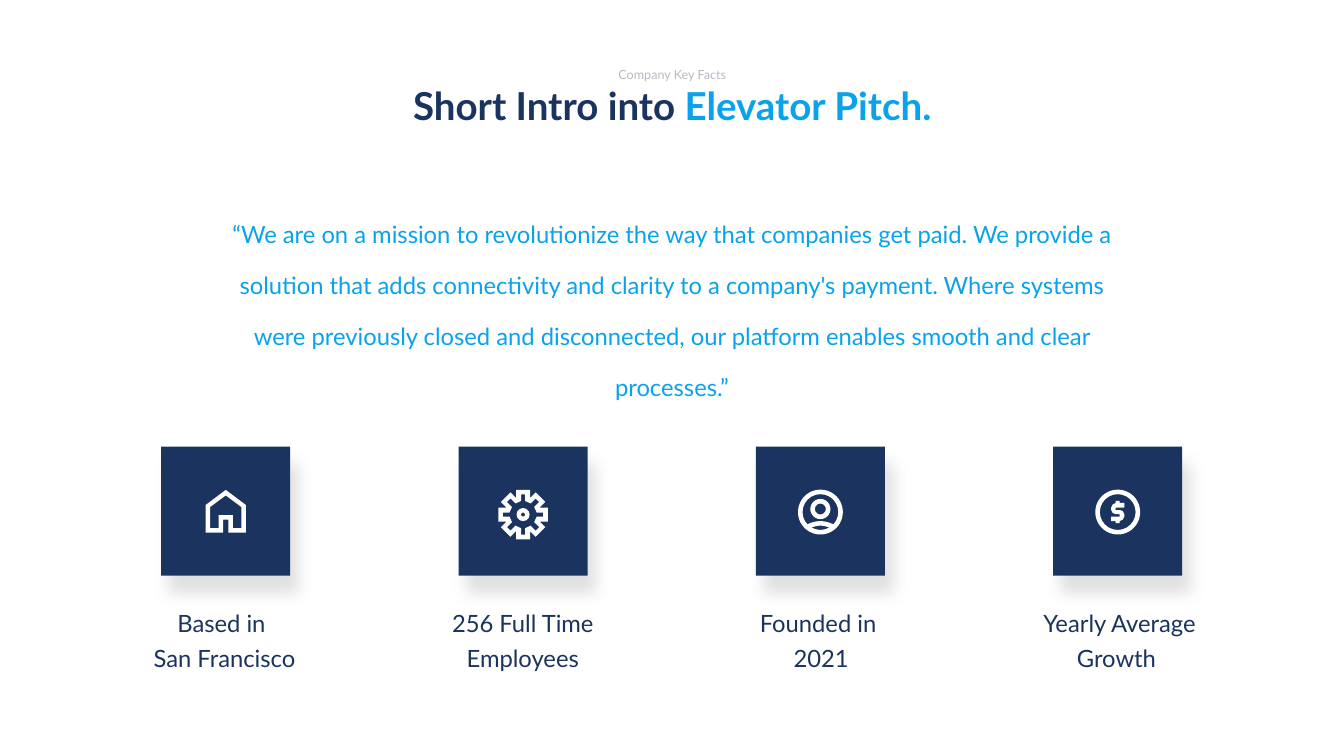
from dataclasses import dataclass

from lxml import etree
from pptx import Presentation
from pptx.dml.color import RGBColor
from pptx.enum import shapes, text
from pptx.oxml import ns
from pptx.util import Inches, Pt


@dataclass(frozen=True)
class Theme:
    navy: RGBColor = RGBColor(0x1B, 0x33, 0x5F)
    blue: RGBColor = RGBColor(0x0A, 0xA3, 0xEB)
    gray: RGBColor = RGBColor(0xB9, 0xB9, 0xC2)
    white: RGBColor = RGBColor(0xFF, 0xFF, 0xFF)
    shadow: str = "5E5E5E"
    font: str = "Lato"
    eyebrow: int = 18
    title: int = 55
    body: int = 34


THEME = Theme()
TILE = 2.56
STROKE = 0.09


def fill_plain(shape, color):
    shape.shadow.inherit = False
    shape.fill.solid()
    shape.fill.fore_color.rgb = color
    shape.line.fill.background()


def add_soft_shadow(shape):
    effects = shape._element.spPr.find(ns.qn("a:effectLst"))
    shadow = etree.SubElement(
        effects, ns.qn("a:outerShdw"), blurRad=str(Pt(22)), dist=str(Pt(27.8)),
        dir=str(66 * 60000), algn="ctr", rotWithShape="0")
    color = etree.SubElement(shadow, ns.qn("a:srgbClr"), val=THEME.shadow)
    etree.SubElement(color, ns.qn("a:alpha"), val="18000")


def add_text_box(slide, left, top, width, height):
    box = slide.shapes.add_textbox(
        Inches(left), Inches(top), Inches(width), Inches(height))
    frame = box.text_frame
    frame.margin_left = frame.margin_right = 0
    frame.margin_top = frame.margin_bottom = 0
    frame.word_wrap = True
    frame.auto_size = text.MSO_AUTO_SIZE.SHAPE_TO_FIT_TEXT
    return frame


def style_paragraph(paragraph, size, colors, spacing=None, bold=False):
    """Centre a paragraph and style its runs; one colour serves all runs."""
    paragraph.alignment = text.PP_ALIGN.CENTER
    if spacing:
        paragraph.line_spacing = spacing
    for index, run in enumerate(paragraph.runs):
        run.font.name = THEME.font
        run.font.size = Pt(size)
        run.font.bold = bold
        run.font.color.rgb = colors[min(index, len(colors) - 1)]


def add_outline(slide, center_x, center_y, contours):
    """Draw a white figure from contours around a centre; inner ones cut holes."""
    builder = None
    for contour in contours:
        points = [(Inches(center_x + x), Inches(center_y + y)) for x, y in contour]
        if builder is None:
            builder = slide.shapes.build_freeform(*points[0])
        else:
            builder.move_to(*points[0])
        builder.add_line_segments(points[1:], close=True)
    fill_plain(builder.convert_to_shape(), THEME.white)


def add_ring(slide, center_x, center_y, size):
    ring = slide.shapes.add_shape(
        shapes.MSO_SHAPE.DONUT, Inches(center_x - size / 2),
        Inches(center_y - size / 2), Inches(size), Inches(size))
    ring.adjustments[0] = STROKE / size
    fill_plain(ring, THEME.white)


def mirrored(points):
    return points + [(-x, y) for x, y in reversed(points)]


def four_turns(quadrant):
    contour = []
    for _ in range(4):
        contour += quadrant
        quadrant = [(-y, x) for x, y in quadrant]
    return contour


def arch(half_width, ends, peak, steps=12):
    """Points of a parabola from left to right."""
    positions = [2 * step / steps - 1 for step in range(steps + 1)]
    return [(half_width * t, peak + (ends - peak) * t * t) for t in positions]


def add_house(slide, x, y):
    outer = mirrored([(0, -0.43), (0.4, -0.13), (0.4, 0.42), (0.05, 0.42), (0.05, 0.16)])
    inner = mirrored([(0, -0.32), (0.31, -0.09), (0.31, 0.33), (0.14, 0.33), (0.14, 0.07)])
    add_outline(slide, x, y, [outer, inner])


def add_gear(slide, x, y):
    y += 0.06
    outer = four_turns([(0.14, -0.49), (0.14, -0.33), (0.25, -0.44),
                        (0.44, -0.25), (0.33, -0.14), (0.49, -0.14)])
    inner = four_turns([(0.04, -0.4), (0.04, -0.27), (0.15, -0.22), (0.25, -0.32),
                        (0.32, -0.25), (0.22, -0.15), (0.27, -0.04), (0.4, -0.04)])
    add_outline(slide, x, y, [outer, inner])
    add_ring(slide, x, y, 0.26)


def add_person(slide, x, y):
    add_ring(slide, x, y + 0.01, 0.89)
    add_ring(slide, x, y - 0.05, 0.4)
    shoulders = arch(0.27, 0.26, 0.19) + [(0.17, 0.38), (-0.17, 0.38)]
    gap = arch(0.18, 0.32, 0.28) + arch(0.18, 0.32, 0.37)[::-1]
    add_outline(slide, x, y, [shoulders, gap])


def add_dollar(slide, x, y):
    y += 0.01
    add_ring(slide, x, y, 0.89)
    half = [(-0.04, -0.22), (0.04, -0.22), (0.04, -0.18), (0.13, -0.18),
            (0.13, -0.09), (-0.04, -0.09), (-0.04, -0.04), (0.04, -0.04),
            (0.1, -0.02), (0.13, 0.04), (0.13, 0.09), (0.1, 0.15), (0.04, 0.18)]
    add_outline(slide, x, y, [half + [(-a, -b) for a, b in half]])


def add_header(slide, left, top, width, height):
    frame = add_text_box(slide, left, top, width, height)
    eyebrow = frame.paragraphs[0]
    eyebrow.text = "Company Key Facts"
    style_paragraph(eyebrow, THEME.eyebrow, [THEME.gray], spacing=1.1)
    title = frame.add_paragraph()
    for part in ("Short Intro into ", "Elevator Pitch."):
        title.add_run().text = part
    style_paragraph(title, THEME.title, [THEME.navy, THEME.blue], bold=True)


def add_quote(slide, left, top, width, height):
    frame = add_text_box(slide, left, top, width, height)
    frame.text = (
        "“We are on a mission to revolutionize the way that companies get paid. "
        "We provide a solution that adds connectivity and clarity to a company's "
        "payment. Where systems were previously closed and disconnected, our "
        "platform enables smooth and clear processes.”")
    style_paragraph(frame.paragraphs[0], THEME.body, [THEME.blue], spacing=1.79)


def add_tile(slide, left, top, draw_icon):
    tile = slide.shapes.add_shape(
        shapes.MSO_SHAPE.RECTANGLE, Inches(left), Inches(top), Inches(TILE), Inches(TILE))
    fill_plain(tile, THEME.navy)
    add_soft_shadow(tile)
    draw_icon(slide, left + TILE / 2, top + TILE / 2 + 0.01)


def add_label(slide, left, top, label):
    frame = add_text_box(slide, left, top, 4.13, 1.15)
    frame.text = label
    style_paragraph(frame.paragraphs[0], THEME.body, [THEME.navy], spacing=1.21)


def add_facts(slide, left, top):
    """Place a row of icon tiles with a row of labels below."""
    facts = [
        (add_house, "Based in \vSan Francisco"),
        (add_gear, "256 Full Time Employees"),
        (add_person, "Founded in \v2021"),
        (add_dollar, "Yearly Average Growth "),
    ]
    for index, (draw_icon, label) in enumerate(facts):
        add_tile(slide, left + 0.81 + 5.9 * index, top, draw_icon)
        add_label(slide, left + 5.92 * index, top + 3.1, label)


def main():
    presentation = Presentation()
    presentation.slide_width = Inches(26.67)
    presentation.slide_height = Inches(15)
    slide = presentation.slides.add_slide(presentation.slide_layouts[6])
    add_header(slide, 1.4, 1.3, 23.88, 1.26)
    add_quote(slide, 4.26, 3.91, 18.15, 2.5)
    add_facts(slide, 2.39, 8.86)
    presentation.save("out.pptx")


if __name__ == "__main__":
    main()
